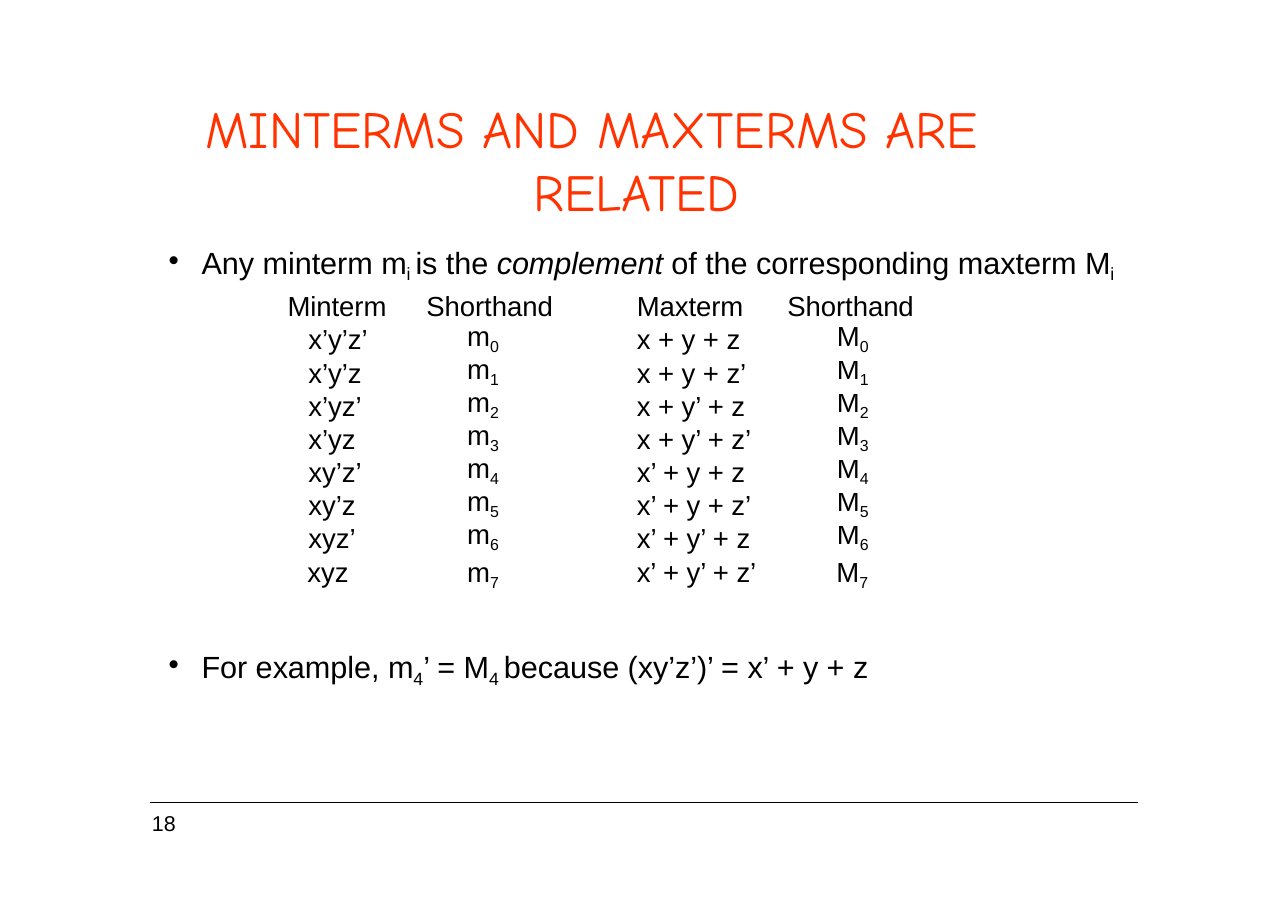
from pptx import Presentation
from pptx import util as u
from pptx.dml.color import RGBColor
from pptx.enum import shapes, text
from pptx.oxml.ns import qn
from lxml import etree

SLIDE_WIDTH, SLIDE_HEIGHT = u.Inches(11.69), u.Inches(8.26)
COLORS = {"ink": "000000", "title": "FF3200"}
LETTERS = "xyz"
HEADINGS = ["Minterm", "Shorthand", "Maxterm", "Shorthand"]

# Table measures, in grid units; indents in inches
COLUMN_WIDTHS = [9.5, 14.63, 13.6, 11.46]
ROW_HEIGHTS = [3.51, 4] + [3.63] * 5 + [3.87]
LINE_POINTS = [19.9, 20.6] + [18.8] * 6
HEADING_INDENTS = [0.03, 0.18, 0.38, 0.12]
TERM_INDENTS = [0.22, 0.55, 0.38, 0.16]

# Left edge, width and indent of each entry in the last row
LAST_ROW = [(23.78, 3.42, 0.01), (35.93, 3.25, 0.04),
            (49.36, 9.75, 0.01), (64.59, 3.25, 0.04)]


def columns(count):
    """Width of a number of the slide's 100 columns."""
    return round(SLIDE_WIDTH * count / 100)


def rows(count):
    """Height of a number of the slide's 100 rows."""
    return round(SLIDE_HEIGHT * count / 100)


def place(left, top, width, height):
    return columns(left), rows(top), columns(width), rows(height)


def write(frame, content, size=18, font="Arial", color="ink", spacing=-5,
          left=0, first=0, line=None, align=text.PP_ALIGN.LEFT, bullet=None):
    """Write one paragraph; | parts the runs, _ lowers and / slants a run."""
    paragraph = frame.paragraphs[0]
    paragraph.alignment = align
    paragraph.space_before = u.Pt(0)
    if line:
        paragraph.line_spacing = u.Pt(line)
    properties = paragraph._p.get_or_add_pPr()
    properties.set("marL", str(u.Inches(left)))
    properties.set("indent", str(u.Inches(first)))
    if bullet:
        etree.SubElement(properties, qn("a:buChar")).set("char", bullet)
    for part in content.split("|"):
        run = paragraph.add_run()
        run.text = part.lstrip("_/")
        run.font.size = u.Pt(size)
        run.font.name = font
        run.font.color.rgb = RGBColor.from_string(COLORS[color])
        run._r.get_or_add_rPr().set("spc", str(spacing))
        if part.startswith("_"):
            run._r.get_or_add_rPr().set("baseline", "-22000")
        if part.startswith("/"):
            run.font.italic = True


def prepare_frame(shape, wrap=True, top=0.02):
    frame = shape.text_frame
    frame.word_wrap = wrap
    frame.auto_size = text.MSO_AUTO_SIZE.SHAPE_TO_FIT_TEXT
    frame.vertical_anchor = text.MSO_ANCHOR.TOP
    frame.margin_left = frame.margin_right = frame.margin_bottom = 0
    frame.margin_top = u.Inches(top)
    return frame


def add_text(slide, box, content, wrap=True, top=0.02, **style):
    shape = slide.shapes.add_textbox(*place(*box))
    write(prepare_frame(shape, wrap, top), content, **style)


def add_title(slide, box, content):
    title = slide.shapes.title
    title.left, title.top, title.width, title.height = place(*box)
    write(prepare_frame(title), content, size=34, font="Comic Neue",
          color="title", spacing=5, left=2.99, first=-2.98)


def add_rule(slide, left, right, top):
    rule = slide.shapes.add_connector(
        shapes.MSO_CONNECTOR.STRAIGHT,
        columns(left), rows(top), columns(right), rows(top))
    rule.line.width = u.Pt(0.75)
    rule.line.color.rgb = RGBColor.from_string(COLORS["ink"])
    etree.SubElement(rule._element.spPr, qn("a:effectLst"))


def term_row(number):
    """Minterm and maxterm of a number, each with its shorthand."""
    bits = f"{number:03b}"
    minterm = "".join(letter + "’" * (bit == "0")
                      for letter, bit in zip(LETTERS, bits))
    maxterm = " + ".join(letter + "’" * (bit == "1")
                         for letter, bit in zip(LETTERS, bits))
    return [minterm, f"m|_{number}", maxterm, f"M|_{number}"]


def add_term_table(slide, left, top, entries):
    box = place(left, top, sum(COLUMN_WIDTHS), sum(ROW_HEIGHTS))
    table = slide.shapes.add_table(
        len(ROW_HEIGHTS), len(COLUMN_WIDTHS), *box).table
    table.first_row = table.horz_banding = False
    for column, width in zip(table.columns, COLUMN_WIDTHS):
        column.width = columns(width)
    for row_index, row in enumerate(table.rows):
        row.height = rows(ROW_HEIGHTS[row_index])
        indents = TERM_INDENTS if row_index else HEADING_INDENTS
        for column_index, cell in enumerate(row.cells):
            cell.fill.background()
            cell.margin_left = cell.margin_right = 0
            cell.margin_top = cell.margin_bottom = 0
            last = column_index == len(COLUMN_WIDTHS) - 1
            write(cell.text_frame, entries[row_index][column_index],
                  left=indents[column_index], line=LINE_POINTS[row_index],
                  align=text.PP_ALIGN.CENTER if last else text.PP_ALIGN.LEFT)


def main():
    presentation = Presentation()
    presentation.slide_width = SLIDE_WIDTH
    presentation.slide_height = SLIDE_HEIGHT
    slide = presentation.slides.add_slide(presentation.slide_layouts[5])

    # Title and footer
    add_title(slide, (15.83, 10.41, 69.72, 14.04),
              "MINTERMS AND MAXTERMS ARE RELATED")
    add_rule(slide, 11.63, 88.37, 88.14)
    add_text(slide, (11.55, 89.1, 2.31, 3.03), "18", top=0,
             size=14, spacing=0, left=0.03, line=16.5)

    # Statements
    statement = {"size": 20, "left": 0.33, "first": -0.3, "bullet": "•"}
    add_text(slide, (12.83, 26.51, 76, 4.36),
             "Any minterm m|_i |is the |/complement |"
             "of the corresponding maxterm M|_i", **statement)
    add_text(slide, (12.83, 70.94, 56, 4.36),
             "For example, m|_4|’ = M|_4 |because (xy’z’)’ = x’ + y + z",
             **statement)

    # Terms 0 to 6 in the table, term 7 below it
    add_term_table(slide, 22.07, 32.08,
                   [HEADINGS] + [term_row(number) for number in range(7)])
    for (left, width, indent), entry in zip(LAST_ROW, term_row(7)):
        add_text(slide, (left, 60.77, width, 4), entry, wrap=False,
                 left=indent)

    presentation.save("out.pptx")


if __name__ == "__main__":
    main()
